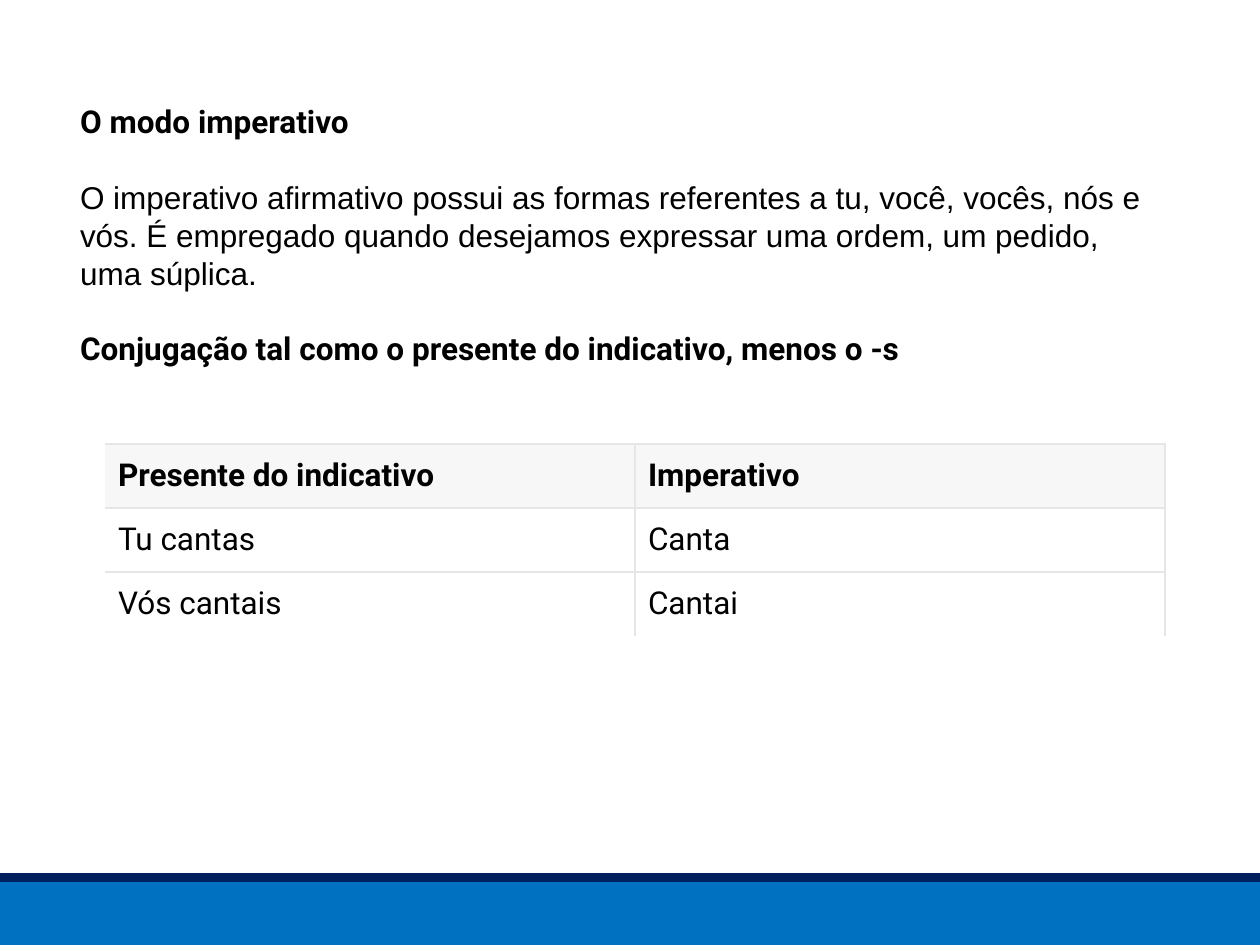
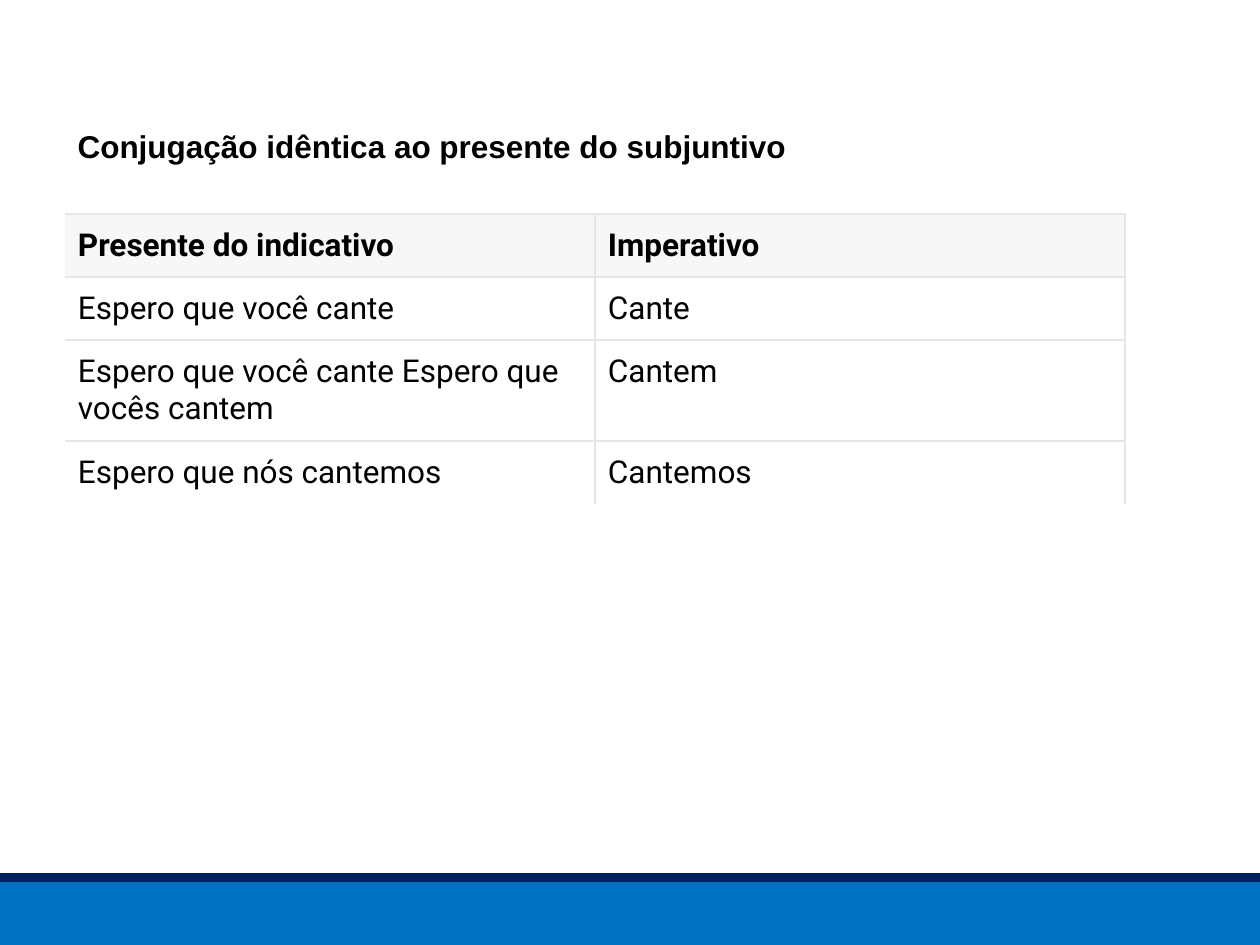
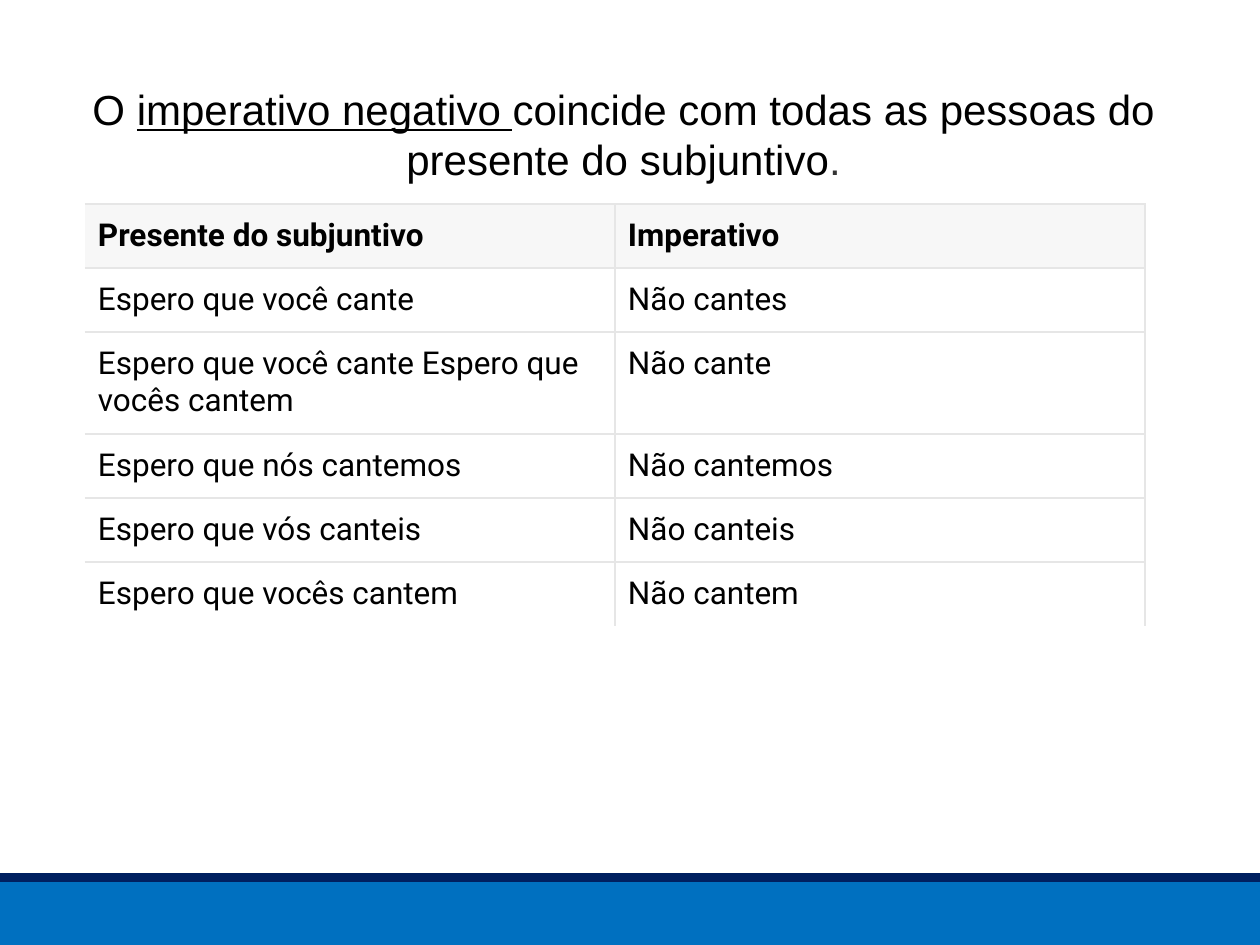
from lxml import etree
from pptx import Presentation
from pptx.dml.color import RGBColor
from pptx.enum.shapes import MSO_SHAPE
from pptx.enum.text import MSO_ANCHOR, MSO_AUTO_SIZE, PP_ALIGN
from pptx.oxml.ns import qn
from pptx.util import Emu, Pt

RECTANGLE = MSO_SHAPE.RECTANGLE
TOP, MIDDLE = MSO_ANCHOR.TOP, MSO_ANCHOR.MIDDLE
LEFT, CENTER = PP_ALIGN.LEFT, PP_ALIGN.CENTER
NO_AUTOFIT = MSO_AUTO_SIZE.NONE

EMU_PER_PX = 914400 / 126
BLUE, NAVY = "0070C0", "002060"
BLACK, DARK_GREY, GRID_GREY = "000000", "333333", "E6E6E6"
HEADER_FILL, WHITE = "F7F7F7", "FFFFFF"

HEADING = {"name": "Roboto", "size": Pt(18), "bold": True}
CELL = {"name": "Roboto", "size": Pt(18), "bold": False}
PLAIN = {"name": "Arial", "size": Pt(18), "bold": False}
ARIAL_HEADING = {**PLAIN, "bold": True}
LARGE = {**PLAIN, "size": Pt(24)}
COLUMN_WIDTH, CELL_MARGIN = 530, 13


def px(length):
    return Emu(round(length * EMU_PER_PX))


def add_span(para, text, font_format, color=BLACK):
    span = para.add_run()
    span.text = text
    for name, value in font_format.items():
        setattr(span.font, name, value)
    span.font.color.rgb = RGBColor.from_string(color)


deck = Presentation()
deck.slide_width, deck.slide_height = px(1260), px(945)
content_layout, title_layout = deck.slide_layouts[1], deck.slide_layouts[5]

# Slides with their text boxes: placeholder, place, margins, anchor, alignment, paragraphs
pages = [deck.slides.add_slide(layout)
         for layout in (content_layout, title_layout, title_layout)]
text_boxes = [
    (pages[0].shapes.title, (67, 96, 1101, 50), (13, 6, 13, 6), TOP, LEFT,
     [[("O modo imperativo", HEADING)]]),
    (pages[0].placeholders[1], (67, 172, 1101, 203), (13, 6, 13, 6), TOP, LEFT,
     [[("O imperativo afirmativo possui as formas referentes a tu, você, vocês, "
        "nós e vós. É empregado quando desejamos expressar uma ordem, um pedido, "
        "uma súplica.", PLAIN)],
      [("Conjugação tal como o presente do indicativo, menos o -s", HEADING)]]),
    (pages[1].shapes.title, (70, 127, 724, 38), (0, 0, 0, 0), MIDDLE, CENTER,
     [[("Conjugação idêntica ao presente do subjuntivo", ARIAL_HEADING)]]),
    (pages[2].shapes.title, (54, 83, 1121, 120), (18, 0, 0, 19), MIDDLE, CENTER,
     [[("O ", LARGE),
       ("imperativo negativo ", {**LARGE, "underline": True}),
       ("coincide com todas as pessoas do presente do subjuntivo", LARGE),
       (".", LARGE, DARK_GREY)]]),
]
for box, place, margins, anchor, alignment, paragraphs in text_boxes:
    box.left, box.top, box.width, box.height = map(px, place)
    frame = box.text_frame
    frame.margin_left, frame.margin_top, frame.margin_right, frame.margin_bottom = map(px, margins)
    frame.word_wrap = True
    frame.auto_size = NO_AUTOFIT
    frame.vertical_anchor = anchor
    for index, spans in enumerate(paragraphs):
        para = frame.add_paragraph() if index else frame.paragraphs[0]
        para.alignment = alignment
        para.space_before = px(38) if index else Pt(0)
        properties = para._p.get_or_add_pPr()
        properties.set("marL", "0")
        properties.set("indent", "0")
        etree.SubElement(properties, qn("a:buNone"))
        for span in spans:
            add_span(para, *span)

# Footer bands, drawn once and moved to the slide master
for top, height, color in ((882, 63, BLUE), (873, 9, NAVY)):
    band = pages[0].shapes.add_shape(RECTANGLE, px(0), px(top), px(1260), px(height))
    band.shadow.inherit = False
    band.fill.solid()
    band.fill.fore_color.rgb = RGBColor.from_string(color)
    band.line.fill.background()
    deck.slide_master.shapes.element.append(band.element)

# Conjugation tables: page, left, top, row heights, rows
tables = [
    (pages[0], 105, 444, [64, 64, 64],
     [("Presente do indicativo", "Imperativo"),
      ("Tu cantas", "Canta"),
      ("Vós cantais", "Cantai")]),
    (pages[1], 65, 214, [63, 63, 101, 63],
     [("Presente do indicativo", "Imperativo"),
      ("Espero que você cante", "Cante"),
      ("Espero que você cante Espero que vocês cantem", "Cantem"),
      ("Espero que nós cantemos", "Cantemos")]),
    (pages[2], 85, 204, [64, 64, 102, 64, 64, 64],
     [("Presente do subjuntivo", "Imperativo"),
      ("Espero que você cante", "Não cantes"),
      ("Espero que você cante Espero que vocês cantem", "Não cante"),
      ("Espero que nós cantemos", "Não cantemos"),
      ("Espero que vós canteis", "Não canteis"),
      ("Espero que vocês cantem", "Não cantem")]),
]
for page, left, top, heights, rows in tables:
    table = page.shapes.add_table(len(rows), 2, px(left), px(top),
                                  px(2 * COLUMN_WIDTH), px(sum(heights))).table
    for column in table.columns:
        column.width = px(COLUMN_WIDTH)
    for row_index, (height, texts) in enumerate(zip(heights, rows)):
        table.rows[row_index].height = px(height)
        is_header, is_last = row_index == 0, row_index == len(rows) - 1
        for column_index, text in enumerate(texts):
            cell = table.cell(row_index, column_index)
            for side in ("left", "top", "right", "bottom"):
                setattr(cell, f"margin_{side}", px(CELL_MARGIN))
            add_span(cell.text_frame.paragraphs[0], text, HEADING if is_header else CELL)

            # Borders come before the fill in the cell properties
            properties = cell._tc.get_or_add_tcPr()
            borders = {"a:lnL": column_index > 0, "a:lnR": True,
                       "a:lnT": True, "a:lnB": not is_last}
            for tag, is_drawn in borders.items():
                line = etree.SubElement(properties, qn(tag), w=str(Pt(0.75)))
                if is_drawn:
                    fill = etree.SubElement(line, qn("a:solidFill"))
                    etree.SubElement(fill, qn("a:srgbClr"), val=GRID_GREY)
                else:
                    etree.SubElement(line, qn("a:noFill"))
            cell.fill.solid()
            cell.fill.fore_color.rgb = RGBColor.from_string(HEADER_FILL if is_header else WHITE)

deck.save("out.pptx")
